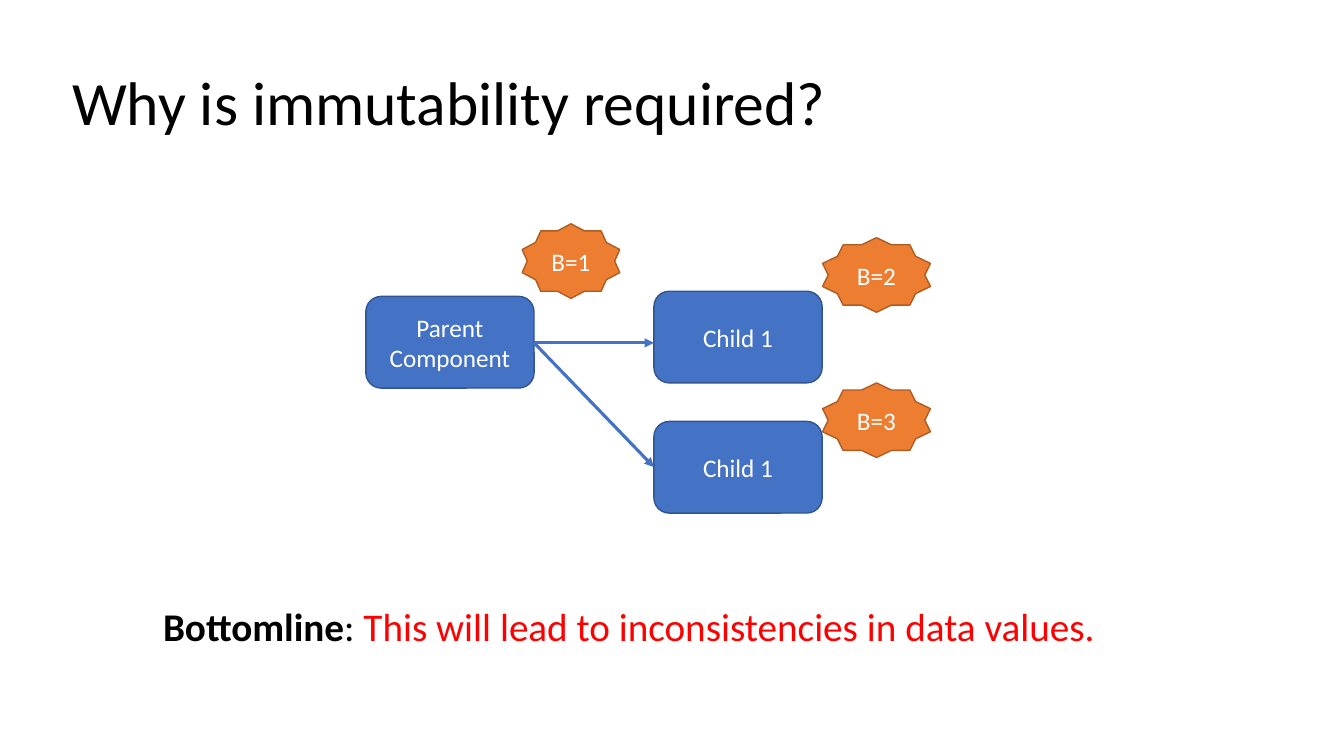
from lxml.etree import SubElement
from pptx import Presentation
from pptx.dml.color import RGBColor
from pptx.enum.shapes import MSO_CONNECTOR, MSO_SHAPE
from pptx.enum.text import MSO_ANCHOR, PP_ALIGN
from pptx.oxml.ns import qn
from pptx.util import Cm, Pt


def color(code):
    return RGBColor.from_string(code)


def write(para, text, size=18, ink="FFFFFF", bold=False, face="Calibri"):
    run = para.add_run()
    run.text = text
    run.font.name = face
    run.font.size = Pt(size)
    run.font.bold = bold
    run.font.color.rgb = color(ink)


class Deck:
    blue, navy = "4472C4", "325491"
    orange, rust = "ED7D31", "AF5C24"
    black, red = "000000", "FF0000"

    def __init__(self):
        self.file = Presentation()
        self.file.slide_width = Cm(33.87)
        self.file.slide_height = Cm(19.05)
        self.slide = self.file.slides.add_slide(self.file.slide_layouts[6])

    def text(self, box, parts, size, anchor, align=PP_ALIGN.LEFT):
        frame = self.slide.shapes.add_textbox(*map(Cm, box)).text_frame
        frame.word_wrap = True
        frame.vertical_anchor = anchor
        para = frame.paragraphs[0]
        para.alignment = align
        para.line_spacing = 0.9
        for words, ink, bold in parts:
            write(para, words, size=size, ink=ink, bold=bold)

    def shape(self, kind, box, lines, fill, edge):
        item = self.slide.shapes.add_shape(kind, *map(Cm, box))
        item.shadow.inherit = False
        item.fill.solid()
        item.fill.fore_color.rgb = color(fill)
        item.line.color.rgb = color(edge)
        item.line.width = Pt(1)
        frame = item.text_frame
        frame.word_wrap = False
        frame.vertical_anchor = MSO_ANCHOR.MIDDLE
        for i, line in enumerate(lines):
            para = frame.add_paragraph() if i else frame.paragraphs[0]
            para.alignment = PP_ALIGN.CENTER
            write(para, line)
        return item

    def node(self, left, top, *lines):
        box = (left, top, 4.24, 2.31)
        return self.shape(MSO_SHAPE.ROUNDED_RECTANGLE, box, lines,
                          self.blue, self.navy)

    def star(self, left, top, width, label):
        box = (left, top, width, 1.88)
        return self.shape(MSO_SHAPE.STAR_10_POINT, box, [label],
                          self.orange, self.rust)

    def arrow(self, start, end):
        link = self.slide.shapes.add_connector(
            MSO_CONNECTOR.STRAIGHT, *map(Cm, start + end))
        link.line.color.rgb = color(self.blue)
        link.line.width = Pt(2.25)
        SubElement(link.line._get_or_add_ln(), qn("a:tailEnd"), type="triangle")
        SubElement(link._element.spPr, qn("a:effectLst"))


def main():
    deck = Deck()

    # Title
    deck.text((1.57, 0.81, 29.21, 3.68),
              [("Why is immutability required?", deck.black, False)],
              44, MSO_ANCHOR.MIDDLE)

    # Bottom line
    deck.text((3.86, 15.19, 29.21, 2.13),
              [("Bottomline", deck.black, True),
               (": ", deck.black, False),
               ("This will lead to inconsistencies in data values.",
                deck.red, False)],
              28, MSO_ANCHOR.TOP, PP_ALIGN.JUSTIFY)

    # Components
    deck.node(9.22, 7.47, "Parent", "Component")
    for top in (7.34, 10.62):
        deck.node(16.48, top, "Child 1")

    # Arrows from parent to children
    for end in (8.64, 11.77):
        deck.arrow((13.46, 8.64), (16.48, end))

    # Values of B
    deck.star(13.16, 5.64, 2.46, "B=1")
    deck.star(20.73, 5.99, 2.72, "B=2")
    deck.star(20.73, 9.65, 2.72, "B=3")

    deck.file.save("out.pptx")


if __name__ == "__main__":
    main()
